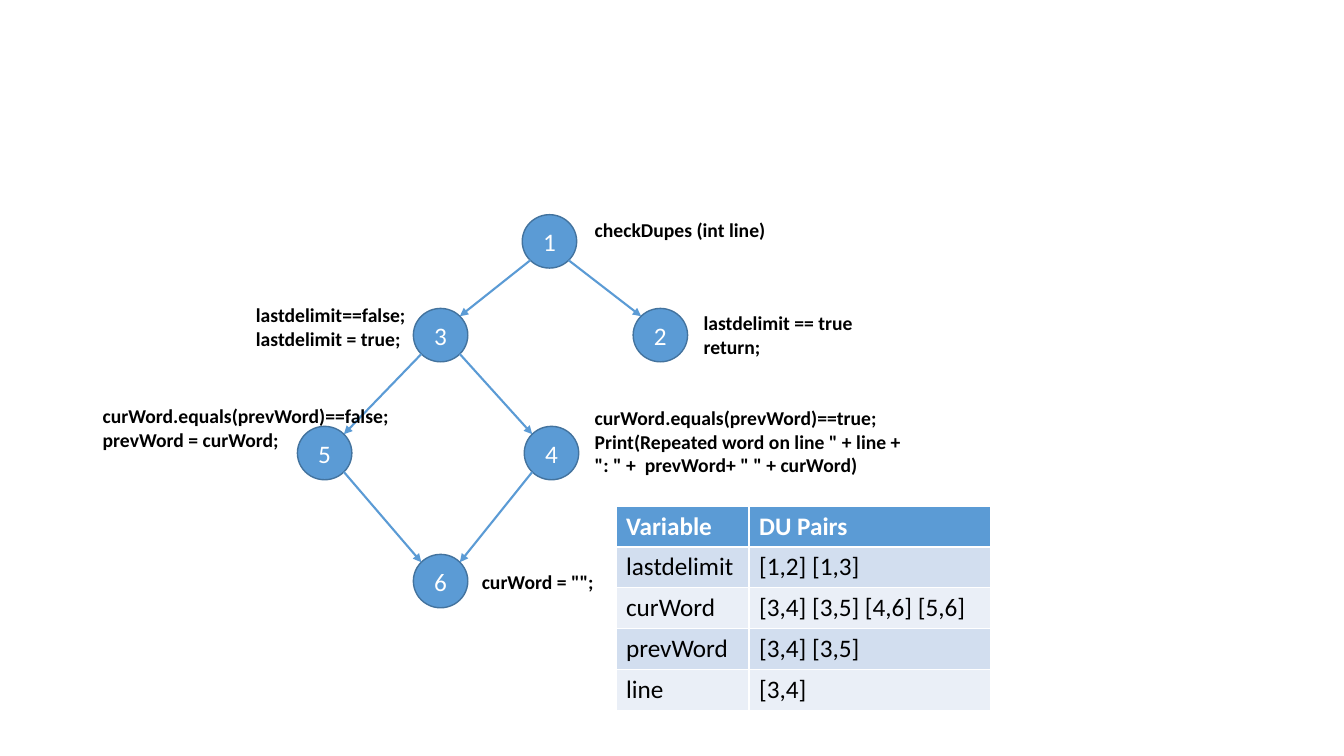
from lxml import etree
from pptx import Presentation
from pptx import util as u
from pptx.dml import color
from pptx.enum import shapes, text
from pptx.oxml import ns

COLORS = {
    "node": "5B9BD5",
    "outline": "43739E",
    "white": "FFFFFF",
    "black": "000000",
    "odd_row": "D2DEEF",
    "even_row": "EAEFF7",
}
COLUMNS, ROWS = 133.3, 75
NODE_WIDTH, NODE_HEIGHT = 5.4, 5.3
DIAGONAL = 0.5 ** 0.5
NODES = {
    1: (54.5, 23.95),
    2: (65.5, 33.25),
    3: (43.7, 33.25),
    4: (54.7, 44.95),
    5: (32.2, 44.95),
    6: (43.7, 57.65),
}
EDGES = [(1, 2), (1, 3), (3, 4), (3, 5), (4, 6), (5, 6)]
LABELS = [
    (58, 21.1, 19.1, ["checkDupes (int line)"]),
    (68.8, 30.4, 16.9, ["lastdelimit == true", "return;"]),
    (24.4, 29.6, 17.3, ["lastdelimit==false;", "lastdelimit = true;"]),
    (58, 39.8, 33, [
        "curWord.equals(prevWord)==true;",
        'Print(Repeated word on line " + line +',
        '": " +  prevWord+ " " + curWord)',
    ]),
    (9.2, 39.6, 30.6, ["curWord.equals(prevWord)==false;", "prevWord = curWord;"]),
    (46.8, 56, 13.2, ['curWord = "";']),
]
DU_PAIRS = [
    ("Variable", "DU Pairs"),
    ("lastdelimit", "[1,2] [1,3]"),
    ("curWord", "[3,4] [3,5] [4,6] [5,6]"),
    ("prevWord", "[3,4] [3,5]"),
    ("line", "[3,4]"),
]


def cells(*counts):
    return [u.Inches(count / 10) for count in counts]


def rgb(name):
    return color.RGBColor.from_string(COLORS[name])


def paint(target, name):
    target.fill.solid()
    target.fill.fore_color.rgb = rgb(name)


def write(frame, lines, size=18, ink="black", bold=False, align=text.PP_ALIGN.LEFT):
    for index, line in enumerate(lines):
        para = frame.add_paragraph() if index else frame.paragraphs[0]
        para.alignment = align
        span = para.add_run()
        span.text = line
        span.font.name = "Calibri"
        span.font.size = u.Pt(size)
        span.font.bold = bold
        span.font.color.rgb = rgb(ink)


def add_node(page, number):
    x, y = NODES[number]
    node = page.shapes.add_shape(
        shapes.MSO_SHAPE.OVAL,
        *cells(x - NODE_WIDTH / 2, y - NODE_HEIGHT / 2, NODE_WIDTH, NODE_HEIGHT))
    node.shadow.inherit = False
    paint(node, "node")
    node.line.color.rgb = rgb("outline")
    node.line.width = u.Pt(1)
    node.text_frame.vertical_anchor = text.MSO_ANCHOR.MIDDLE
    write(node.text_frame, [str(number)], ink="white", align=text.PP_ALIGN.CENTER)


def add_edge(page, start, end):
    (x1, y1), (x2, y2) = NODES[start], NODES[end]
    dx = NODE_WIDTH / 2 * DIAGONAL * (1 if x2 > x1 else -1)
    dy = NODE_HEIGHT / 2 * DIAGONAL
    edge = page.shapes.add_connector(
        shapes.MSO_CONNECTOR.STRAIGHT,
        *cells(x1 + dx, y1 + dy, x2 - dx, y2 - dy))
    edge.line.color.rgb = rgb("node")
    edge.line.width = u.Pt(1.5)
    etree.SubElement(edge.line._get_or_add_ln(), ns.qn("a:tailEnd"), type="triangle")
    etree.SubElement(edge._element.spPr, ns.qn("a:effectLst"))


def add_label(page, left, top, width, lines):
    height = 1 + 2.37 * len(lines)
    box = page.shapes.add_textbox(*cells(left, top, width, height))
    box.text_frame.word_wrap = False
    box.text_frame.auto_size = text.MSO_AUTO_SIZE.SHAPE_TO_FIT_TEXT
    write(box.text_frame, lines, size=14, bold=True)


def add_pairs_table(page, left, top, widths, row_height):
    table = page.shapes.add_table(
        len(DU_PAIRS), len(widths),
        *cells(left, top, sum(widths), row_height * len(DU_PAIRS))).table
    for column, width in zip(table.columns, cells(*widths)):
        column.width = width
    for r, values in enumerate(DU_PAIRS):
        header = r == 0
        fill = "node" if header else "odd_row" if r % 2 else "even_row"
        for c, value in enumerate(values):
            cell = table.cell(r, c)
            paint(cell, fill)
            write(cell.text_frame, [value], bold=header,
                  ink="white" if header else "black")


def main():
    deck = Presentation()
    deck.slide_width, deck.slide_height = cells(COLUMNS, ROWS)
    page = deck.slides.add_slide(deck.slide_layouts[6])
    for number in NODES:
        add_node(page, number)
    for start, end in EDGES:
        add_edge(page, start, end)
    for label in LABELS:
        add_label(page, *label)
    add_pairs_table(page, 61.1, 50.2, [13.2, 24], 4.06)
    deck.save("out.pptx")


if __name__ == "__main__":
    main()
